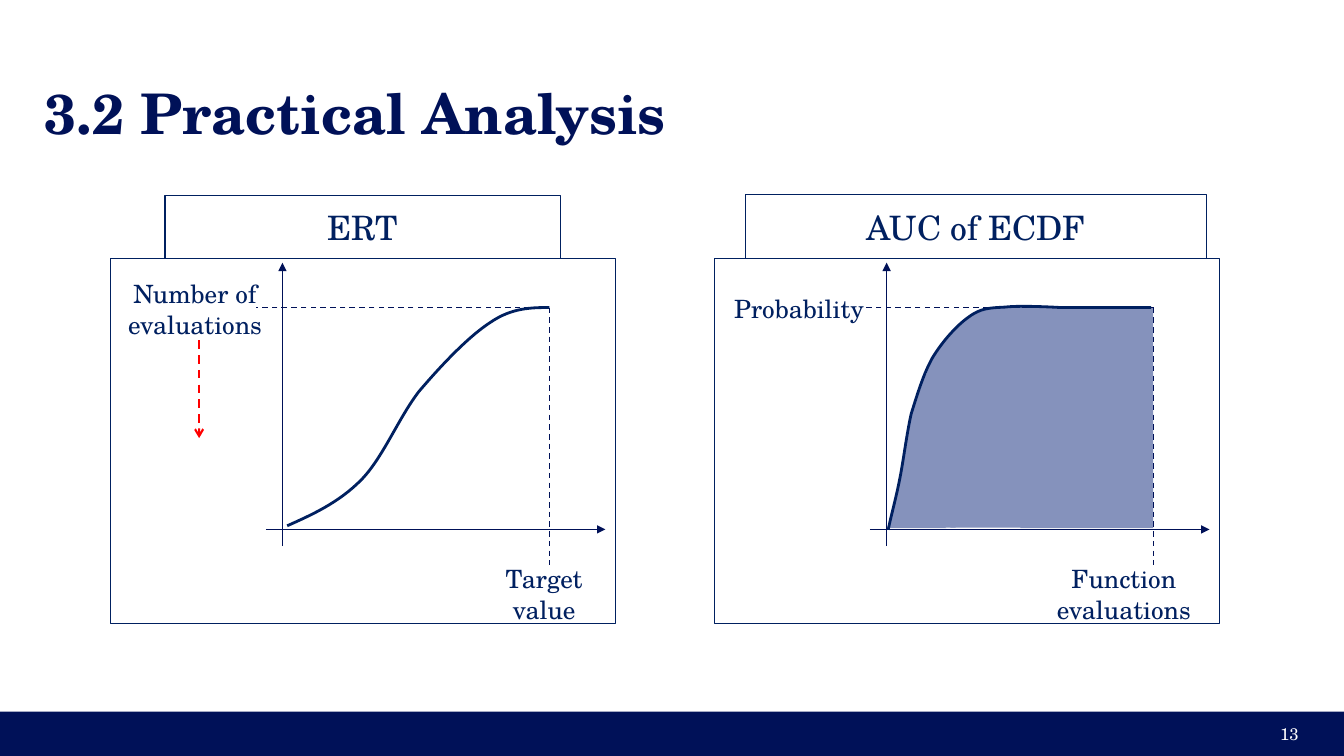
from dataclasses import dataclass

from lxml import etree
from pptx import Presentation
from pptx.dml.color import RGBColor
from pptx.enum import dml, shapes, text
from pptx.oxml import ns
from pptx.util import Cm, Pt


@dataclass(frozen=True)
class Theme:
    font: str = "TeX Gyre Schola"
    navy: str = "001158"
    ink: str = "002060"
    area: str = "8592BC"
    red: str = "FF0000"
    white: str = "FFFFFF"
    title: int = 40
    heading: int = 24
    label: int = 18
    number: int = 12


THEME = Theme()
RECT, OVAL = shapes.MSO_SHAPE.RECTANGLE, shapes.MSO_SHAPE.OVAL
TRIANGLE = shapes.MSO_SHAPE.ISOSCELES_TRIANGLE

# All plot positions are centimetres from the top left corner of a panel.
PANEL_TOP, PANEL_WIDTH, PANEL_HEIGHT = 6.52, 12.73, 9.19
HEADING_HEIGHT, LABEL_HEIGHT = 1.6, 1.47
AXIS_X, AXIS_Y = 4.33, 6.82
LIMIT_X, LIMIT_Y = 11.06, 1.23
GUIDE_BOTTOM = 7.71

# Each curve is a start point followed by three Bezier points per segment.
ERT_CURVE = [
    (4.45, 6.73),
    (5.08, 6.45), (5.74, 6.15), (6.3, 5.59),
    (6.86, 5.03), (7.24, 4.04), (7.77, 3.35),
    (8.33, 2.69), (9.02, 1.96), (9.58, 1.6),
    (10.11, 1.24), (10.59, 1.23), (11.06, 1.23),
]
ECDF_CURVE = [
    (4.37, 6.83),
    (4.45, 6.45), (4.55, 6.1), (4.65, 5.61),
    (4.75, 5.13), (4.83, 4.45), (4.95, 3.91),
    (5.11, 3.4), (5.26, 2.9), (5.49, 2.49),
    (5.74, 2.08), (6.1, 1.68), (6.4, 1.47),
    (6.71, 1.24), (6.93, 1.24), (7.32, 1.22),
    (7.72, 1.17), (8.71, 1.23), (8.71, 1.23),
]
ECDF_PLATEAU = [(x, LIMIT_Y) for x in (9.73, 10.52, 11)]
AREA_EDGES = [
    [(5.46, 2.79),
     (5.59, 2.59), (5.72, 2.39), (5.82, 2.24),
     (5.92, 2.08), (5.99, 2.01), (6.1, 1.91),
     (6.2, 1.78), (6.32, 1.65), (6.48, 1.55),
     (6.63, 1.47), (6.83, 1.4), (6.99, 1.35),
     (7.14, 1.32), (7.26, 1.35), (7.37, 1.35)],
    [(4.85, 5.05),
     (4.9, 4.78), (4.95, 4.52), (4.98, 4.32),
     (5.03, 4.14), (5.05, 4.06), (5.08, 3.94),
     (5.11, 3.81), (5.16, 3.73), (5.18, 3.63),
     (5.21, 3.53), (5.26, 3.38), (5.31, 3.25),
     (5.36, 3.12), (5.46, 2.9), (5.46, 2.9),
     (5.49, 2.82), (5.46, 2.84), (5.46, 2.9)],
]
DOT_SIZE = (1.35, 1.42)
RISING_DOTS = [(4.65, 5.03), (4.7, 4.6), (4.8, 4.06), (4.88, 3.68), (4.98, 3.3), (5.08, 2.97),
               (5.21, 2.62), (5.31, 2.39), (5.46, 2.06), (5.64, 1.83), (6.88, 1.19)]
BEND_DOTS = [(6.2, 1.32), (6.53, 1.24), (5.94, 1.5)]
AREA_BACK = [
    (OVAL, 4.6, 5.49, 1.35, 0.76),
    (TRIANGLE, 4.37, 5.82, 1.47, 0.97),
    *((OVAL, *dot, *DOT_SIZE) for dot in RISING_DOTS),
    (RECT, 4.72, 5.54, 1.35, 1.24),
    (RECT, 7.7, 1.23, 3.35, 5.56),
]
AREA_FRONT = [
    (RECT, 5.94, 2.13, 2.31, 4.65),
    *((OVAL, *dot, *DOT_SIZE) for dot in BEND_DOTS),
]


def rgb(color):
    return RGBColor.from_string(color)


def style_shape(shape, fill=None, line=None, width=0.75):
    shape.shadow.inherit = False
    if fill:
        shape.fill.solid()
        shape.fill.fore_color.rgb = rgb(fill)
    else:
        shape.fill.background()
    if line:
        shape.line.color.rgb = rgb(line)
        shape.line.width = Pt(width)
    else:
        shape.line.fill.background()


def add_box(parent, left, top, width, height, kind=RECT, **style):
    box = parent.shapes.add_shape(kind, Cm(left), Cm(top), Cm(width), Cm(height))
    style_shape(box, **style)
    return box


def write(shape, words, size, color, align=text.PP_ALIGN.CENTER, bold=False):
    frame = shape.text_frame
    frame.word_wrap = True
    frame.vertical_anchor = text.MSO_ANCHOR.MIDDLE
    frame.text = words
    paragraph = frame.paragraphs[0]
    paragraph.alignment = align
    font = paragraph.runs[0].font
    font.name, font.size, font.bold = THEME.font, Pt(size), bold
    font.color.rgb = rgb(color)


def add_text(parent, left, top, width, height, words, size, color, **style):
    box = parent.shapes.add_textbox(Cm(left), Cm(top), Cm(width), Cm(height))
    write(box, words, size, color, **style)
    return box


def add_line(parent, start, end, color=THEME.navy, width=1, dashed=False, head=None):
    line = parent.shapes.add_connector(shapes.MSO_CONNECTOR.STRAIGHT,
                                       *(Cm(value) for value in (*start, *end)))
    line.line.color.rgb = rgb(color)
    line.line.width = Pt(width)
    if dashed:
        line.line.dash_style = dml.MSO_LINE.DASH
    if head:
        etree.SubElement(line.line._get_or_add_ln(), ns.qn("a:tailEnd"), type=head)
    etree.SubElement(line._element.spPr, ns.qn("a:effectLst"))


def add_curve(parent, left, bezier, straight=(), **style):
    """Draw Bezier segments, then straight ones, as one open outline."""
    placed = [(Cm(left + x), Cm(PANEL_TOP + y)) for x, y in (*bezier, *straight)]
    builder = parent.shapes.build_freeform(*placed[0])
    builder.add_line_segments(placed[1:], close=False)
    curve = builder.convert_to_shape()
    steps = list(curve._element.iter(ns.qn("a:lnTo")))[:len(bezier) - 1]
    for first in range(0, len(steps), 3):
        segment = etree.Element(ns.qn("a:cubicBezTo"))
        steps[first].addprevious(segment)
        for step in steps[first:first + 3]:
            segment.append(step[0])
            step.getparent().remove(step)
    style_shape(curve, **style)


def add_area(parent, left, pieces):
    for kind, x, y, width, height in pieces:
        piece = add_box(parent, left + x, PANEL_TOP + y, width, height, kind, fill=THEME.area)
        if kind == TRIANGLE:
            piece.adjustments[0] = 0.15


def add_panel(slide, left, heading, heading_box, y_label, x_label, x_label_span,
              curve, plateau=(), edges=(), back=(), front=()):
    """Draw a headed frame with axes, guides, labels and one curve; return its group."""
    group = slide.shapes.add_group_shape()

    def at(x, y):
        return left + x, PANEL_TOP + y

    def add_label(words, x, y, width):
        add_text(group, *at(x, y), width, LABEL_HEIGHT, words, THEME.label, THEME.ink)

    tab = add_box(group, *heading_box, HEADING_HEIGHT, line=THEME.ink)
    write(tab, heading, THEME.heading, THEME.ink)
    for edge in edges:
        add_curve(group, left, edge, line=THEME.area, width=6)
    add_area(group, left, back)

    add_line(group, at(3.91, AXIS_Y), at(12.47, AXIS_Y), head="triangle")
    add_line(group, at(AXIS_X, 7.24), at(AXIS_X, 0.1), head="triangle")
    for guide_end in ((LIMIT_X, GUIDE_BOTTOM), (3.66, LIMIT_Y)):
        add_line(group, at(LIMIT_X, LIMIT_Y), at(*guide_end), dashed=True)

    x_label_left, x_label_width = x_label_span
    add_label(x_label, x_label_left, GUIDE_BOTTOM, x_label_width)
    add_label(y_label, 0.03, 0.53, 4.19)
    add_box(group, left, PANEL_TOP, PANEL_WIDTH, PANEL_HEIGHT, line=THEME.ink)
    add_area(group, left, front)
    add_curve(group, left, curve, plateau, line=THEME.ink, width=2)
    return group


def main():
    prs = Presentation()
    prs.slide_width, prs.slide_height = Cm(33.88), Cm(19.05)
    slide = prs.slides.add_slide(prs.slide_layouts[6])

    add_box(slide, 0, 17.93, 33.88, 1.12, fill=THEME.navy)
    title = add_text(slide, 1.12, 1.12, 22.81, 3.4, "3.2 Practical Analysis",
                     THEME.title, THEME.navy, align=text.PP_ALIGN.LEFT, bold=True)
    frame = title.text_frame
    frame.margin_left = frame.margin_right = frame.margin_top = frame.margin_bottom = 0
    add_text(slide, 25.37, 17.98, 7.62, 1.02, "13", THEME.number, THEME.white,
             align=text.PP_ALIGN.RIGHT)

    ert = add_panel(slide, 2.79, "ERT", (4.16, 4.92, 9.98), "Number of evaluations",
                    "Target value", (9.39, 3.07), ERT_CURVE)
    add_line(ert, (5.02, 8.58), (5.02, 11.04), THEME.red, 1.5, dashed=True, head="arrow")
    add_panel(slide, 18.02, "AUC of ECDF", (18.79, 4.91, 11.63), "Probability",
              "Function evaluations", (7.92, 4.78), ECDF_CURVE, ECDF_PLATEAU,
              AREA_EDGES, AREA_BACK, AREA_FRONT)

    prs.save("out.pptx")


if __name__ == "__main__":
    main()
